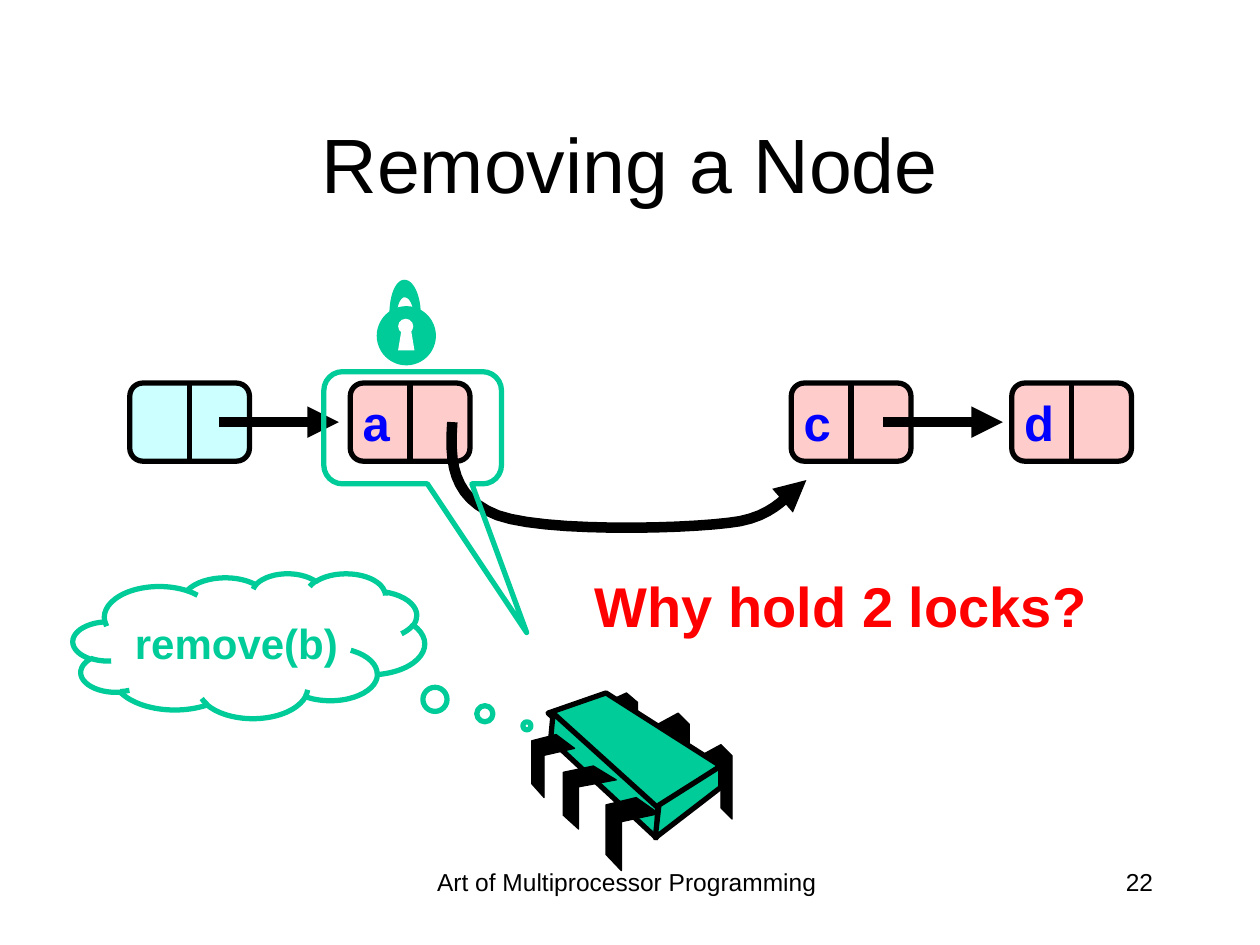
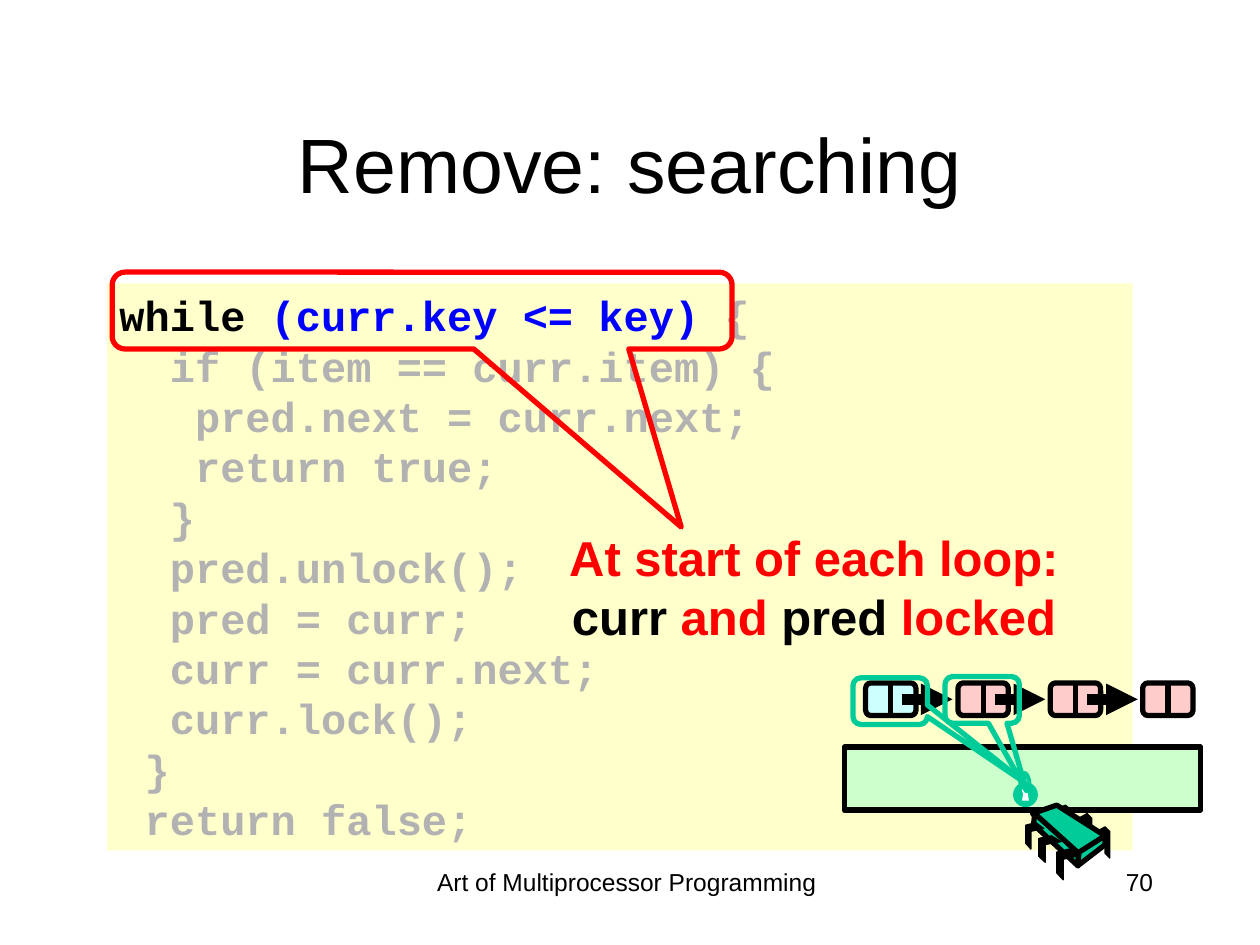
from lxml import etree
from pptx import Presentation
from pptx.dml.color import RGBColor
from pptx.enum.shapes import MSO_CONNECTOR, MSO_SHAPE
from pptx.enum.text import MSO_ANCHOR, PP_ALIGN
from pptx.oxml.ns import qn
from pptx.util import Inches, Pt

RECT, ROUND = MSO_SHAPE.RECTANGLE, MSO_SHAPE.ROUNDED_RECTANGLE
OVAL, CLOUD = MSO_SHAPE.OVAL, MSO_SHAPE.CLOUD_CALLOUT
BUBBLE = MSO_SHAPE.ROUNDED_RECTANGULAR_CALLOUT
STRAIGHT = MSO_CONNECTOR.STRAIGHT
TOP, MIDDLE = MSO_ANCHOR.TOP, MSO_ANCHOR.MIDDLE
LEFT, CENTER, RIGHT = PP_ALIGN.LEFT, PP_ALIGN.CENTER, PP_ALIGN.RIGHT

HUE = {
    "black": "000000", "white": "FFFFFF", "green": "00CC99", "red": "FF0000",
    "blue": "0000FF", "gray": "B2B2B2", "cyan": "CCFFFF", "pink": "FFCCCC",
    "cream": "FFFFCC", "mint": "CCFFCC",
}
SANS, MONO = "Arial", "Courier New"

# Outlines of a chip's legs, as parts of the leg's width and height
BACK = [(0, .15), (.65, 0), (1, .15), (1, 1), (.65, .85), (.65, .29), (0, .43)]
FRONT = [(.57, 0), (1, .22), (.29, .33), (.29, 1), (0, .78), (0, .1)]

CODE = """  if (item == curr.item) {
   pred.next = curr.next;
   return true;
  }
  pred.unlock();
  pred = curr;
  curr = curr.next;
  curr.lock();
 }
 return false;"""


def color(name):
    return RGBColor.from_string(HUE[name])


def paint(shape, fill=None, line=None, width=3):
    """Set fill and outline; None leaves them empty."""
    shape.shadow.inherit = False
    if fill:
        shape.fill.solid()
        shape.fill.fore_color.rgb = color(fill)
    else:
        shape.fill.background()
    if line:
        shape.line.color.rgb = color(line)
        shape.line.width = Pt(width)
    else:
        shape.line.fill.background()
    return shape


def add(pen, kind, box, fill=None, line=None, adjust=()):
    shape = pen.add_shape(kind, *map(Inches, box))
    for i, value in enumerate(adjust):
        shape.adjustments[i] = value
    return paint(shape, fill, line)


def style(run, size, hue, font=SANS, bold=True):
    run.font.name, run.font.size, run.font.bold = font, Pt(size), bold
    run.font.color.rgb = color(hue)


def write(shape, rows, size, align=LEFT, font=SANS, bold=True, anchor=TOP):
    """Each row is a list of (text, colour) runs."""
    frame = shape.text_frame
    frame.word_wrap, frame.vertical_anchor = True, anchor
    for i, row in enumerate(rows):
        para = frame.add_paragraph() if i else frame.paragraphs[0]
        para.alignment = align
        for text, hue in row:
            run = para.add_run()
            run.text = text
            style(run, size, hue, font, bold)


def label(pen, box, text, size, hue="black", align=LEFT, bold=True):
    area = pen.add_textbox(*map(Inches, box))
    write(area, [[(text, hue)]], size, align, bold=bold)


def trace(pen, points, x=0, y=0, wide=1, high=1, close=True):
    spots = [(Inches(x + a * wide), Inches(y + b * high)) for a, b in points]
    form = pen.build_freeform(*spots[0])
    form.add_line_segments(spots[1:], close=close)
    return form.convert_to_shape()


def curve(points, steps=12):
    """Points along joined cubic curves: a start, then three per curve."""
    out = [points[0]]
    for i in range(0, len(points) - 1, 3):
        a, b, c, d = points[i:i + 4]
        for n in range(1, steps + 1):
            t = n / steps
            u = 1 - t
            out.append(tuple(
                u**3 * p + 3 * u * u * t * q + 3 * u * t * t * r + t**3 * s
                for p, q, r, s in zip(a, b, c, d)))
    return out


def head(shape):
    line = shape._element.spPr.find(qn("a:ln"))
    etree.SubElement(line, qn("a:tailEnd"), type="triangle")


def link(pen, start, end, width):
    line = pen.add_connector(STRAIGHT, *map(Inches, start + end))
    line.line.color.rgb = color("black")
    line.line.width = Pt(width)
    etree.SubElement(line._element.spPr, qn("a:effectLst"))
    return line


def arrow(pen, x, y, size):
    head(link(pen, (x, y), (x + size, y), 6))


def node(slide, x, y, wide, high, fill="pink", name=None):
    """A list cell, split in the middle."""
    pen = slide.shapes.add_group_shape().shapes
    cell = add(pen, ROUND, (x, y, wide, high), fill, "black")
    mid = x + wide / 2
    split = link(pen, (mid, y), (mid, y + high), 3)
    split.begin_connect(cell, 0)
    split.end_connect(cell, 2)
    if name:
        label(pen, (x, y + .03, .5, .57), name, 28, "blue")


def chip(slide, x, y, k=1):
    """A processor chip, scaled by k."""
    pen = slide.shapes.add_group_shape().shapes

    def legs(form, boxes):
        for a, b, wide, high in boxes:
            leg = trace(pen, form, x + a * k, y + b * k, wide * k, high * k)
            paint(leg, "black", "black", .75)

    legs(BACK, [(1.34, .41, .25, .59), (1, .16, .25, .59), (.59, 0, .25, .5)])
    for face in (
        [(.59, 0), (1.5, .58), (.99, .93), (.13, .16)],
        [(.17, .16), (1, .91), (.99, 1.15), (.15, .37)],
        [(1.5, .58), (1.5, .75), (.98, 1.15), (1.01, .89)],
    ):
        paint(trace(pen, face, x, y, k, k), "green", "black")
    legs(FRONT, [(.59, .83, .42, .58), (.25, .58, .42, .5), (0, .33, .34, .5)])


def lock(slide, x, y, k=1):
    """A padlock, scaled by k."""
    pen = slide.shapes.add_group_shape().shapes
    for a, b, size, hue in ((0, .21, .47, "green"), (.17, .31, .12, "white")):
        add(pen, OVAL, (x + a * k, y + b * k, size * k, size * k), hue)
    slot = [(.17, .56), (.2, .38), (.27, .38), (.3, .56)]
    paint(trace(pen, slot, x, y, k, k), "white")
    inner = curve([(.16, .28), (.16, .2), (.19, .14), (.22, .14),
                   (.26, .14), (.29, .2), (.29, .28)])
    outer = curve([(.35, .28), (.35, .12), (.29, 0), (.22, 0),
                   (.15, 0), (.1, .12), (.1, .28)])
    paint(trace(pen, inner + outer, x, y, k, k), "green")


def bubble(slide, box, tip, hue="green"):
    add(slide.shapes, BUBBLE, box, None, hue, (*tip, .167))


def begin(deck, title, page):
    """A slide with its title and footers."""
    slide = deck.slides.add_slide(deck.slide_layouts[5])
    top = slide.shapes.title
    top.left, top.top, top.width, top.height = map(
        Inches, (.75, .67, 8.5, 1.25))
    write(top, [[(title, "black")]], 44, CENTER, bold=False, anchor=MIDDLE)
    label(slide.shapes, (3.1, 6.83, 3.75, .5),
          "Art of Multiprocessor Programming", 14, align=CENTER, bold=False)
    label(slide.shapes, (7.17, 6.83, 2.08, .5), page, 14,
          align=RIGHT, bold=False)
    return slide


def chain(slide, x, y):
    """The large list, with b skipped."""
    pen = slide.shapes
    for step, fill, name in ((0, "cyan", None), (1, "pink", "a"),
                             (3, "pink", "c"), (4, "pink", "d")):
        node(slide, x + 1.75 * step, y, .95, .62, fill, name)
    for step in (.71, 5.98):
        arrow(pen, x + step, y + .31, .95)
    skip = curve([(2.56, .31), (2.54, .61), (2.55, .91), (2.92, 1.05),
                  (3.28, 1.18), (4.34, 1.16), (4.75, 1.11),
                  (5.15, 1.07), (5.24, .84), (5.37, .77)])
    head(paint(trace(pen, skip, x, y, close=False), None, "black", 6))


def thought(slide, box):
    cloud = add(slide.shapes, CLOUD, box, None, "green", (.791, .553))
    write(cloud, [[("remove(b)", "green")]], 24, CENTER, anchor=MIDDLE)


def listing(slide, box):
    panel = add(slide.shapes, RECT, box, "cream")
    first = [("while", "black"), (" (curr.key <= key) ", "blue"), ("{", "gray")]
    rest = [[(line, "gray")] for line in CODE.split("\n")]
    write(panel, [first] + rest, 24, font=MONO)


def remark(slide, box):
    note = add(slide.shapes, RECT, box, "cream")
    tint = note._element.spPr.find(qn("a:solidFill"))[0]
    etree.SubElement(tint, qn("a:alpha"), val="78000")
    write(note, [[("At start of each loop: ", "red"), ("curr", "black"),
                  (" and ", "red"), ("pred", "black"), (" locked", "red")]],
          28, CENTER)


def sketch(slide, x, y):
    """The small list with its locks."""
    pen = slide.shapes
    add(pen, RECT, (x, y + .56, 2.83, .5), "mint", "black")
    for i in range(4):
        node(slide, x + .17 + .733 * i, y + .05, .4, .26,
             "pink" if i else "cyan")
    for i in range(3):
        arrow(pen, x + .46 + .735 * i, y + .18, .4)
    bubble(slide, (x + .07, y + .01, .59, .37), (1.813, 1.749))
    lock(slide, x + 1.34, y + .75, .42)
    chip(slide, x + 1.44, y + 1.02, .42)
    bubble(slide, (x + .8, y, .59, .37), (.596, 1.944))


def removing(deck):
    slide = begin(deck, "Removing a Node", "22")
    chain(slide, 1.03, 3.04)
    chip(slide, 4.22, 5.5)
    bubble(slide, (2.57, 2.95, 1.41, .89), (.642, 1.826))
    thought(slide, (.58, 4.55, 2.79, 1.15))
    lock(slide, 2.99, 2.22)
    label(slide.shapes, (3.85, 4.49, 5.65, .64), "Why hold 2 locks?",
          32, "red", CENTER)


def searching(deck):
    slide = begin(deck, "Remove: searching", "70")
    listing(slide, (.85, 2.25, 8.14, 4.5))
    remark(slide, (4.08, 4.14, 4.76, 1.04))
    bubble(slide, (.89, 2.16, 4.92, .61), (.418, 2.818), "red")
    sketch(slide, 6.7, 5.37)


def main():
    deck = Presentation()
    deck.slide_width, deck.slide_height = Inches(10), Inches(7.5)
    removing(deck)
    searching(deck)
    deck.save("out.pptx")


if __name__ == "__main__":
    main()
